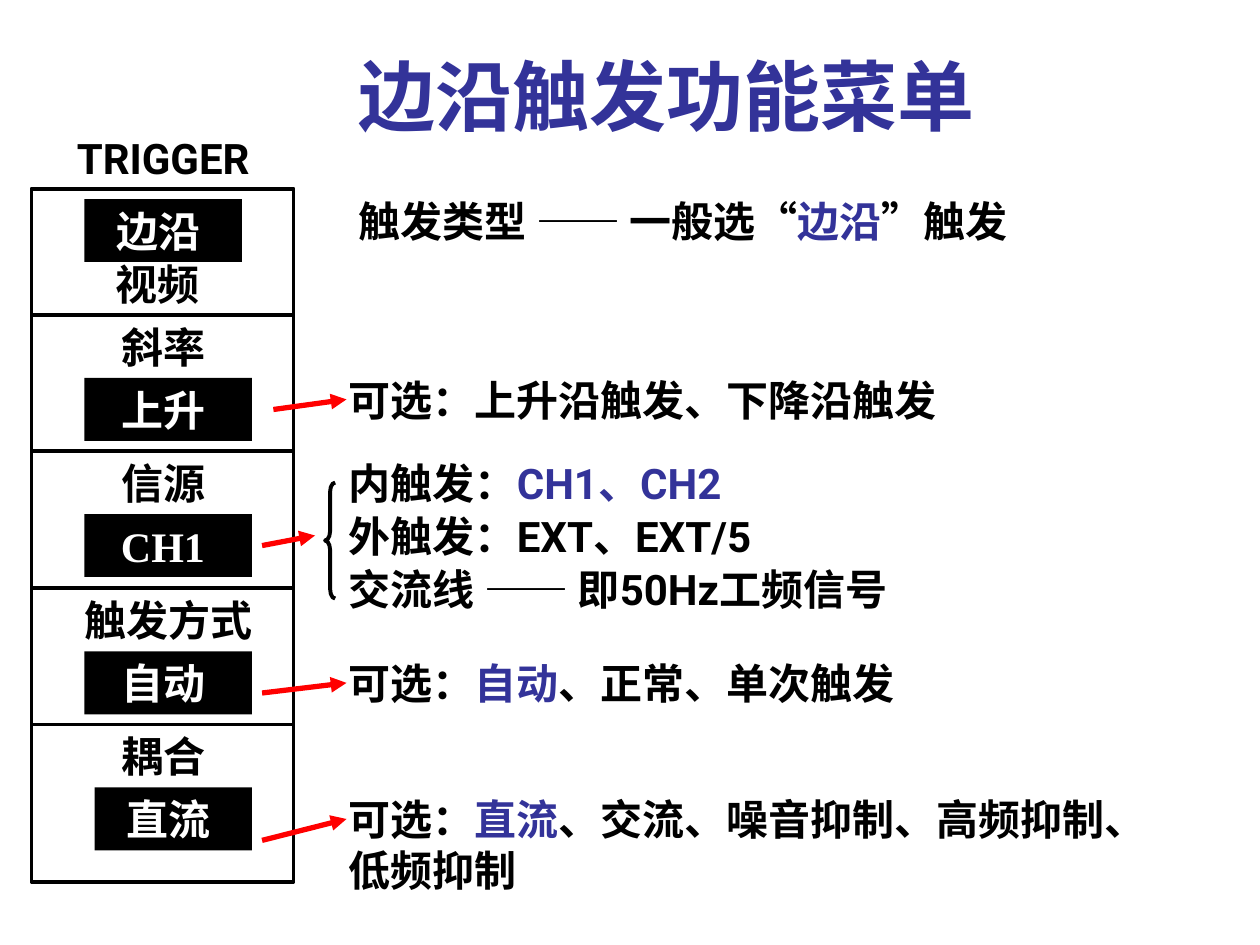
import pptx
import pptx.dml.color
import pptx.enum.lang
import pptx.enum.shapes
import pptx.enum.text
import pptx.util
from lxml import etree
from pptx.oxml.ns import qn

Inches = pptx.util.Inches
Pt = pptx.util.Pt
RGBColor = pptx.dml.color.RGBColor
SHAPE = pptx.enum.shapes.MSO_SHAPE
ALIGN = pptx.enum.text.PP_ALIGN
ANCHOR = pptx.enum.text.MSO_ANCHOR

BLACK = RGBColor(0x00, 0x00, 0x00)
WHITE = RGBColor(0xFF, 0xFF, 0xFF)
BLUE = RGBColor(0x33, 0x33, 0x99)
RED = RGBColor(0xFF, 0x00, 0x00)
SANS = "Roboto"
SERIF = "Times New Roman"


def write_text(tf, runs, font=SANS, size=24, color=BLACK, align=ALIGN.LEFT,
               anchor=ANCHOR.TOP, grow=True):
    """Fill a text frame from a string or (text, overrides) runs; a newline run breaks the line."""
    tf.word_wrap = True
    tf.vertical_anchor = anchor
    sizing = pptx.enum.text.MSO_AUTO_SIZE
    tf.auto_size = sizing.SHAPE_TO_FIT_TEXT if grow else sizing.NONE
    p = tf.paragraphs[0]
    p.alignment = align
    if isinstance(runs, str):
        runs = [(runs, {})]
    for text, style in runs:
        if text == "\n":
            p.add_line_break()
            continue
        r = p.add_run()
        r.text = text
        r.font.name = style.get("font", font)
        r.font.size = Pt(size)
        r.font.bold = True
        r.font.color.rgb = style.get("color", color)
        r.font.language_id = pptx.enum.lang.MSO_LANGUAGE_ID.SIMPLIFIED_CHINESE


class SlideBuilder:
    """Holds the current slide and draws each kind of element on it."""

    def __init__(self, slide):
        """Keep the slide to draw on."""
        self.slide = slide

    def text(self, x, y, w, h, runs, **style):
        """Add a text box."""
        sp = self.slide.shapes.add_textbox(Inches(x), Inches(y), Inches(w), Inches(h))
        write_text(sp.text_frame, runs, **style)

    def shape(self, kind, x, y, w, h, fill=None, line=None):
        """Add a preset shape with an optional fill and outline."""
        sp = self.slide.shapes.add_shape(kind, Inches(x), Inches(y), Inches(w), Inches(h))
        sp.shadow.inherit = False
        if fill is None:
            sp.fill.background()
        else:
            sp.fill.solid()
            sp.fill.fore_color.rgb = fill
        if line is None:
            sp.line.fill.background()
        else:
            sp.line.color.rgb = line
            sp.line.width = Pt(2.25)
        return sp

    def chosen(self, x, y, w, label):
        """Add a black box that marks the chosen menu item."""
        sp = self.shape(SHAPE.RECTANGLE, x, y, w, 0.5, fill=BLACK)
        write_text(sp.text_frame, label, font=SERIF, color=WHITE, align=ALIGN.CENTER)

    def line(self, x1, y1, x2, y2, color=BLACK, width=2.25, arrow=False):
        """Add a straight line, with an arrowhead at its end if wanted."""
        cx = self.slide.shapes.add_connector(
            pptx.enum.shapes.MSO_CONNECTOR.STRAIGHT,
            Inches(x1), Inches(y1), Inches(x2), Inches(y2))
        cx.line.color.rgb = color
        cx.line.width = Pt(width)
        if arrow:
            etree.SubElement(cx.line._get_or_add_ln(), qn("a:tailEnd"), type="triangle")
        etree.SubElement(cx._element.spPr, qn("a:effectLst"))


prs = pptx.Presentation()
prs.slide_width, prs.slide_height = Inches(10), Inches(7.5)
s = SlideBuilder(prs.slides.add_slide(prs.slide_layouts[6]))

s.text(2.75, 0.33, 5.92, 0.84, "边沿触发功能菜单", font=SERIF, size=44, color=BLUE,
       anchor=ANCHOR.BOTTOM, grow=False)

# Trigger menu: labels, chosen items, frame and dividers
LABELS = [
    (0.17, 1, 2.25, "TRIGGER", SANS),
    (0.5, 2, 1.58, "视频 ", SERIF),
    (0.67, 2.5, 1.33, "斜率 ", SERIF),
    (0.25, 3.58, 2.17, "信源 ", SERIF),
    (0.25, 4.67, 2.17, "触发方式", SANS),
    (0.42, 5.75, 1.83, "耦合 ", SERIF),
]
CHOSEN = [
    (0.67, 1.58, 1.25, "边沿 "),
    (0.67, 3, 1.33, "上升 "),
    (0.67, 4.08, 1.33, "CH1 "),
    (0.67, 5.17, 1.33, "自动 "),
    (0.75, 6.25, 1.25, "直流 "),
]
for x, y, w, label in CHOSEN:
    s.chosen(x, y, w, label)
for x, y, w, label, font in LABELS:
    s.text(x, y, w, 0.5, label, font=font, align=ALIGN.CENTER)
s.shape(SHAPE.RECTANGLE, 0.25, 1.5, 2.08, 5.5, line=BLACK)
for y in (2.5, 3.58, 4.67, 5.75):
    s.line(0.25, y, 2.33, y)

# Explanations
PLAIN, MARKED, QUOTE = {}, {"color": BLUE}, {"font": SERIF}
NOTES = [
    (2.75, 1.5, 6, 0.5, [("触发类型 ", PLAIN), ("——", QUOTE), (" 一般选", PLAIN),
                         ("“", QUOTE), ("边沿", MARKED), ("”", QUOTE), ("触发", PLAIN)]),
    (2.67, 2.92, 6, 0.5, "可选：上升沿触发、下降沿触发"),
    (2.67, 3.58, 6, 0.5, [("内触发：", PLAIN), ("CH1、CH2", MARKED)]),
    (2.67, 4, 6, 0.5, "外触发：EXT、EXT/5"),
    (2.67, 4.42, 6, 0.5, [("交流线 ", PLAIN), ("——", QUOTE), (" 即50Hz工频信号", PLAIN)]),
    (2.67, 5.17, 6, 0.5, [("可选：", PLAIN), ("自动", MARKED), ("、正常、单次触发", PLAIN)]),
    (2.67, 6.25, 7, 0.9, [("可选：", PLAIN), ("直流", MARKED),
                          ("、交流、噪音抑制、高频抑制、", PLAIN), ("\n", PLAIN),
                          ("低频抑制", PLAIN)]),
]
for x, y, w, h, runs in NOTES:
    s.text(x, y, w, h, runs)

brace = s.shape(SHAPE.LEFT_BRACE, 2.58, 3.83, 0.08, 0.92, line=BLACK)
brace.adjustments[0] = 0.92

ARROWS = [
    (2.17, 3.25, 2.75, 3.17),
    (2.08, 4.33, 2.5, 4.25),
    (2.08, 5.5, 2.75, 5.42),
    (2.08, 6.67, 2.75, 6.5),
]
for ends in ARROWS:
    s.line(*ends, color=RED, width=3, arrow=True)

prs.save("out.pptx")
